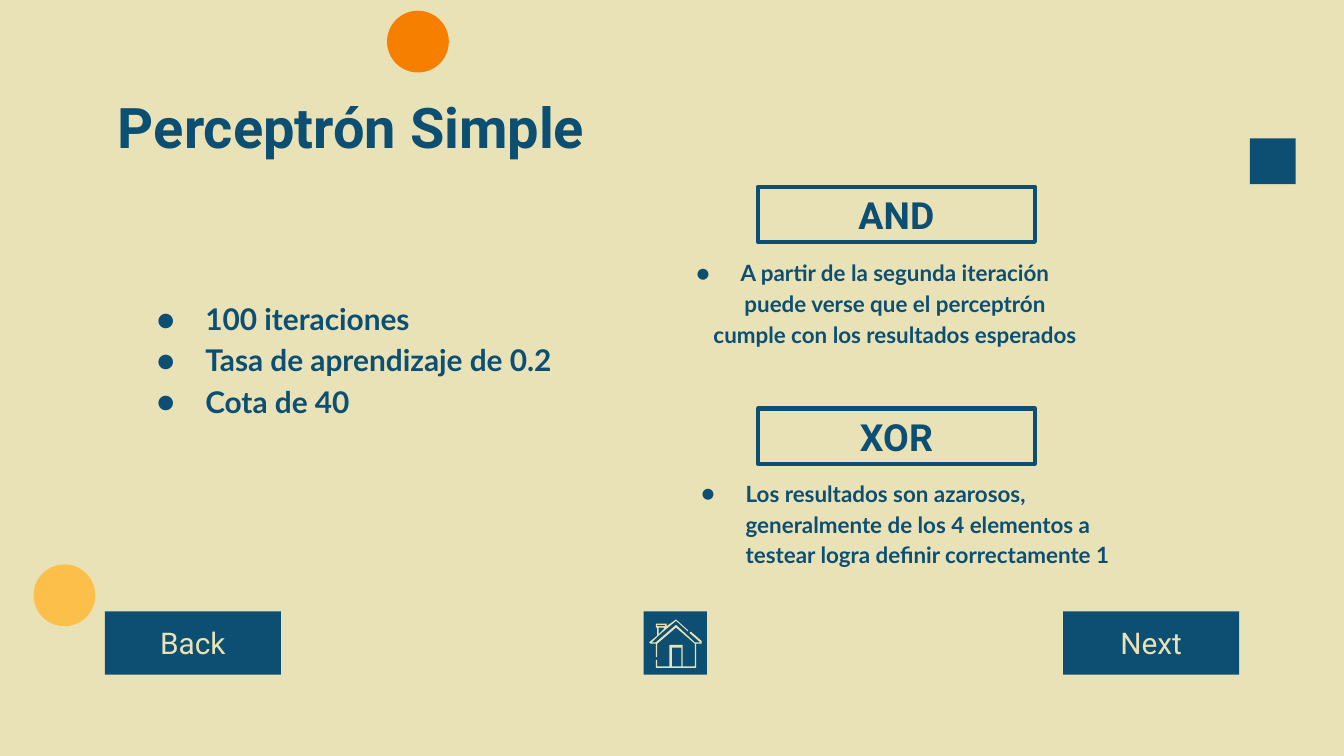
from lxml import etree
from pptx import Presentation
from pptx import util as u
from pptx.dml.color import RGBColor
from pptx.enum import shapes, text
from pptx.oxml import ns

CREAM = RGBColor(0xEA, 0xE2, 0xB7)
NAVY = RGBColor(0x0C, 0x4F, 0x72)
ORANGE = RGBColor(0xF7, 0x7F, 0x00)
YELLOW = RGBColor(0xFC, 0xBF, 0x49)

RECT = shapes.MSO_SHAPE.RECTANGLE
OVAL = shapes.MSO_SHAPE.OVAL
LEFT, CENTER = text.PP_ALIGN.LEFT, text.PP_ALIGN.CENTER
TOP, MIDDLE = text.MSO_ANCHOR.TOP, text.MSO_ANCHOR.MIDDLE

# House icon contours, in hundredths of an inch on the slide
HOUSE = [
    [(503, 461), (496, 466), (496, 464), (488, 464), (488, 467), (489, 467),
     (489, 473), (483, 478), (484, 479), (488, 479), (488, 489), (489, 489),
     (489, 479), (503, 467), (517, 479), (517, 496), (508, 496), (508, 480),
     (498, 480), (498, 496), (489, 496), (489, 491), (488, 491), (488, 497),
     (518, 497), (518, 479), (522, 479), (522, 477), (514, 470), (513, 471),
     (521, 478), (517, 478), (503, 465), (488, 478), (485, 478), (490, 473),
     (503, 462), (512, 470), (512, 469)],
    [(495, 465), (495, 466), (489, 466), (489, 465)],
    [(494, 467), (494, 468), (490, 472), (490, 467)],
    [(507, 482), (507, 496), (500, 496), (500, 482)],
]


def add_bullet(paragraph, hanging):
    props = paragraph._p.get_or_add_pPr()
    props.set("marL", str(u.Inches(0.5)))
    props.set("indent", str(-u.Inches(hanging)))
    color = etree.SubElement(props, ns.qn("a:buClr"))
    etree.SubElement(color, ns.qn("a:srgbClr"), val=str(NAVY))
    etree.SubElement(props, ns.qn("a:buFont"), typeface="Lato")
    etree.SubElement(props, ns.qn("a:buChar"), char="●")


def write(frame, lines, *, size, font="Roboto", color=NAVY, bold=True,
          align=LEFT, anchor=TOP, hanging=None):
    """Fill a text frame with one paragraph per line; hanging adds bullets."""
    frame.word_wrap = True
    frame.vertical_anchor = anchor
    frame.margin_left = frame.margin_right = u.Inches(0.1)
    frame.margin_top = frame.margin_bottom = u.Inches(0.1)
    for index, line in enumerate(lines):
        paragraph = frame.add_paragraph() if index else frame.paragraphs[0]
        paragraph.alignment = align
        if hanging is not None:
            paragraph.line_spacing = 1.15
            add_bullet(paragraph, hanging)
        run = paragraph.add_run()
        run.text = line
        run.font.name, run.font.size = font, u.Pt(size)
        run.font.bold, run.font.color.rgb = bold, color


class SlideBuilder:
    def __init__(self, slide):
        self.slide = slide
        slide.background.fill.solid()
        slide.background.fill.fore_color.rgb = CREAM

    def block(self, kind, left, top, width, height, fill):
        block = self.slide.shapes.add_shape(
            kind, *map(u.Inches, (left, top, width, height)))
        block.shadow.inherit = False
        block.fill.solid()
        block.fill.fore_color.rgb = fill
        block.line.fill.background()
        return block

    def button(self, left, label):
        button = self.block(RECT, left, 4.55, 1.31, 0.47, NAVY)
        write(button.text_frame, [label], size=16, color=CREAM, bold=False,
              align=CENTER, anchor=MIDDLE)

    def heading(self, top, label):
        heading = self.block(RECT, 5.64, top, 2.06, 0.41, CREAM)
        heading.fill.background()
        heading.line.color.rgb = NAVY
        heading.line.width = u.Pt(2.25)
        write(heading.text_frame, [label], size=20, align=CENTER,
              anchor=MIDDLE)

    def textbox(self, left, top, width, height, lines, **style):
        box = self.slide.shapes.add_textbox(
            *map(u.Inches, (left, top, width, height)))
        write(box.text_frame, lines, **style)

    def bullets(self, left, top, lines, **style):
        self.textbox(left, top, 3.44, 0.94, lines, font="Lato", **style)

    def icon(self, contours, fill):
        outline = self.slide.shapes.build_freeform(
            *contours[0][0], scale=u.Inches(0.01))
        for index, contour in enumerate(contours):
            if index:
                outline.move_to(*contour[0])
            outline.add_line_segments(contour[1:], close=True)
        icon = outline.convert_to_shape()
        icon.shadow.inherit = False
        icon.fill.solid()
        icon.fill.fore_color.rgb = fill
        icon.line.fill.background()


def main():
    deck = Presentation()
    deck.slide_width = u.Inches(10)
    deck.slide_height = u.Inches(10 * 9 / 16)
    page = SlideBuilder(deck.slides.add_slide(deck.slide_layouts[6]))

    page.block(RECT, 9.3, 1.03, 0.34, 0.34, NAVY)
    page.block(OVAL, 2.88, 0.08, 0.46, 0.46, ORANGE)
    page.block(OVAL, 0.25, 4.2, 0.46, 0.46, YELLOW)
    page.textbox(0.78, 0.59, 8.44, 0.63, ["Perceptrón Simple"], size=30)

    page.button(0.78, "Back")
    page.block(RECT, 4.79, 4.55, 0.47, 0.47, NAVY)
    page.icon(HOUSE, CREAM)
    page.button(7.91, "Next")

    page.bullets(0.93, 2.1, ["100 iteraciones", "Tasa de aprendizaje de 0.2",
                             "Cota de 40"], size=16, hanging=0.36)
    page.bullets(4.69, 1.8, ["A partir de la segunda iteración puede verse que "
                             "el perceptrón cumple con los resultados esperados"],
                 size=12, hanging=0.33, align=CENTER)
    page.bullets(4.95, 3.44, ["Los resultados son azarosos, generalmente de los "
                              "4 elementos a testear logra definir "
                              "correctamente 1"], size=12, hanging=0.33)
    page.heading(1.39, "AND")
    page.heading(3.04, "XOR")

    deck.save("out.pptx")


if __name__ == "__main__":
    main()
